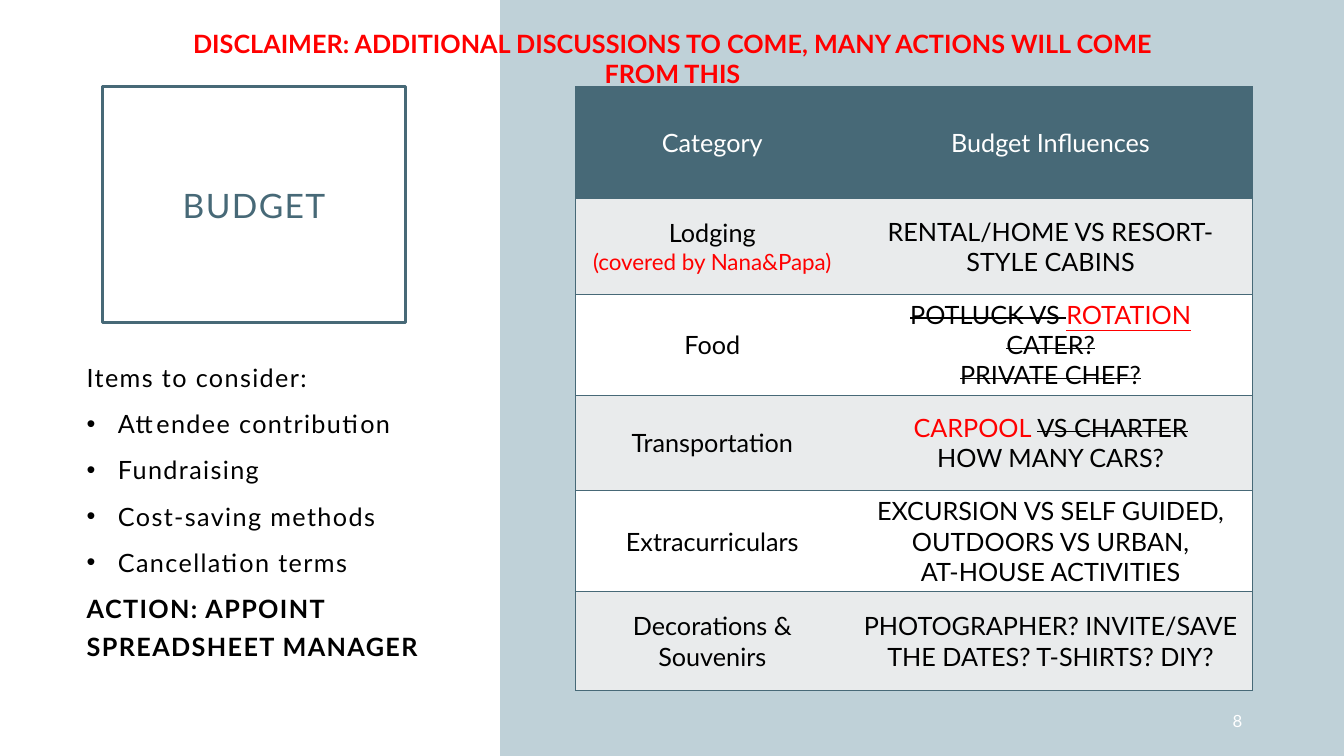
from lxml import etree
from pptx import Presentation
from pptx.dml.color import RGBColor
from pptx.enum.shapes import MSO_SHAPE
from pptx.enum.text import MSO_ANCHOR, MSO_AUTO_SIZE, PP_ALIGN
from pptx.oxml import parse_xml
from pptx.oxml.ns import qn
from pptx.util import Inches, Pt

CENTER, LEFT, RIGHT = PP_ALIGN.CENTER, PP_ALIGN.LEFT, PP_ALIGN.RIGHT
MIDDLE, TOP = MSO_ANCHOR.MIDDLE, MSO_ANCHOR.TOP
NS = 'xmlns:a="http://schemas.openxmlformats.org/drawingml/2006/main"'
C = {"teal": "476977", "panel": "AFC6CF", "gray": "E9EBEC",
     "white": "FFFFFF", "black": "000000", "red": "FF0000"}


def color(name):
    return RGBColor.from_string(C[name])


def add_run(p, text, size=18, fill="black", bold=False, spaced=False, strike=False, underline=False):
    r = p.add_run()
    r.text = text
    r.font.name, r.font.size, r.font.bold = "Lato", Pt(size), bold
    r.font.color.rgb = color(fill)
    if underline:
        r.font.underline = True
    rPr = r.font._element
    if spaced:
        rPr.set("spc", "100")
    if strike:
        rPr.set("strike", "sngStrike")


prs = Presentation()
prs.slide_width, prs.slide_height = Inches(13.33), Inches(7.5)
s = prs.slides.add_slide(prs.slide_layouts[1])

# Right-hand panel, behind everything
panel = s.shapes.add_shape(MSO_SHAPE.RECTANGLE, Inches(4.96), 0, Inches(8.37), Inches(7.5))
panel.shadow.inherit = False
panel.fill.solid()
panel.fill.fore_color.rgb = color("panel")
panel.line.fill.background()
srgb = panel._element.spPr.find(".//" + qn("a:srgbClr"))
etree.SubElement(srgb, qn("a:alpha")).set("val", "80000")
s.shapes._spTree.insert(2, panel._element)

# Title
title = s.shapes.title
title.left, title.top, title.width, title.height = (Inches(v) for v in (1.02, 0.86, 3, 2.34))
title.line.color.rgb = color("teal")
title.line.width = Pt(2.25)
tf = title.text_frame
tf.auto_size, tf.vertical_anchor = MSO_AUTO_SIZE.NONE, MIDDLE
tf.paragraphs[0].alignment = CENTER
add_run(tf.paragraphs[0], "BUDGET", 24, "teal", spaced=True)

# Items to consider: text, bulleted, bold
items = [
    ("Items to consider:", False, False),
    ("Attendee contribution", True, False),
    ("Fundraising", True, False),
    ("Cost-saving methods", True, False),
    ("Cancellation terms", True, False),
    ("ACTION: APPOINT SPREADSHEET MANAGER", False, True),
]
body = s.placeholders[1]
body.left, body.top, body.width, body.height = (Inches(v) for v in (0.76, 3.47, 3.98, 3.48))
tf = body.text_frame
tf.auto_size, tf.vertical_anchor, tf.word_wrap = MSO_AUTO_SIZE.NONE, TOP, True
for i, (text, bulleted, bold) in enumerate(items):
    p = tf.paragraphs[0] if i == 0 else tf.add_paragraph()
    pPr = p._p.get_or_add_pPr()
    indent = Inches(0.31) if bulleted else 0
    pPr.set("marL", str(indent))
    pPr.set("indent", str(-indent))
    if bulleted:
        etree.SubElement(pPr, qn("a:buFont")).set("typeface", "Arial")
        etree.SubElement(pPr, qn("a:buChar")).set("char", "•")
    else:
        etree.SubElement(pPr, qn("a:buNone"))
    p.alignment = LEFT
    p.line_spacing, p.space_before, p.space_after = 1.25, Pt(0), Pt(6)
    add_run(p, text, bold=bold, spaced=True)

# Budget table: each cell is a list of paragraphs, each paragraph a list of (text, format)
plain, red, struck = {}, {"fill": "red"}, {"strike": True}
head = {"fill": "white"}
rows = [
    ([[("Category", head)]], [[("Budget Influences", head)]]),
    ([[("Lodging", plain)], [("(covered by Nana&Papa)", {"fill": "red", "size": 16})]],
     [[("RENTAL/HOME VS RESORT-STYLE CABINS", plain)]]),
    ([[("Food", plain)]],
     [[("POTLUCK VS ", struck), ("ROTATION", {"fill": "red", "underline": True})],
      [("CATER?", struck)], [("PRIVATE CHEF?", struck)]]),
    ([[("Transportation", plain)]],
     [[("CARPOOL ", red), ("VS CHARTER", struck)], [("HOW MANY CARS?", plain)]]),
    ([[("Extracurriculars", plain)]],
     [[("EXCURSION VS SELF GUIDED, OUTDOORS VS URBAN,", plain)],
      [("AT-HOUSE ACTIVITIES", plain)]]),
    ([[("Decorations & Souvenirs", plain)]],
     [[("PHOTOGRAPHER? INVITE/SAVE THE DATES? T-SHIRTS? DIY?", plain)]]),
]
row_heights = [1.11, 0.95, 0.95, 0.95, 0.95, 0.98]
table = s.shapes.add_table(len(rows), 2, Inches(5.71), Inches(0.86),
                           Inches(6.71), Inches(sum(row_heights))).table
table.first_row = table.horz_banding = False
table.columns[0].width, table.columns[1].width = Inches(2.71), Inches(4)
for i, (row, height) in enumerate(zip(rows, row_heights)):
    table.rows[i].height = Inches(height)
    for j, paragraphs in enumerate(row):
        cell = table.cell(i, j)
        cell.vertical_anchor = MIDDLE
        cell.fill.solid()
        cell.fill.fore_color.rgb = color("teal" if i == 0 else "gray" if i % 2 else "white")
        inner_side = "R" if j == 0 else "L"
        tcPr = cell._tc.get_or_add_tcPr()
        for k, side in enumerate("LRTB"):
            line = ("<a:noFill/>" if side == inner_side else
                    f'<a:solidFill><a:srgbClr val="{C["teal"]}"/></a:solidFill>')
            tcPr.insert(k, parse_xml(f'<a:ln{side} {NS} w="12700">{line}</a:ln{side}>'))
        tf = cell.text_frame
        for k, runs in enumerate(paragraphs):
            p = tf.paragraphs[0] if k == 0 else tf.add_paragraph()
            p.alignment = CENTER
            for text, fmt in runs:
                add_run(p, text, **fmt)

# Page number and disclaimer
disclaimer = "DISCLAIMER: ADDITIONAL DISCUSSIONS TO COME, MANY ACTIONS WILL COME FROM THIS"
labels = [
    ((9.42, 6.95, 3, 0.4), "8", RIGHT, MIDDLE, {"size": 12, "fill": "white", "spaced": True}),
    ((1.53, 0.23, 10.28, 0.4), disclaimer, CENTER, TOP, {"fill": "red", "bold": True}),
]
for box, text, align, anchor, fmt in labels:
    tf = s.shapes.add_textbox(*(Inches(v) for v in box)).text_frame
    tf.word_wrap, tf.vertical_anchor = True, anchor
    tf.paragraphs[0].alignment = align
    add_run(tf.paragraphs[0], text, **fmt)

prs.save("out.pptx")
